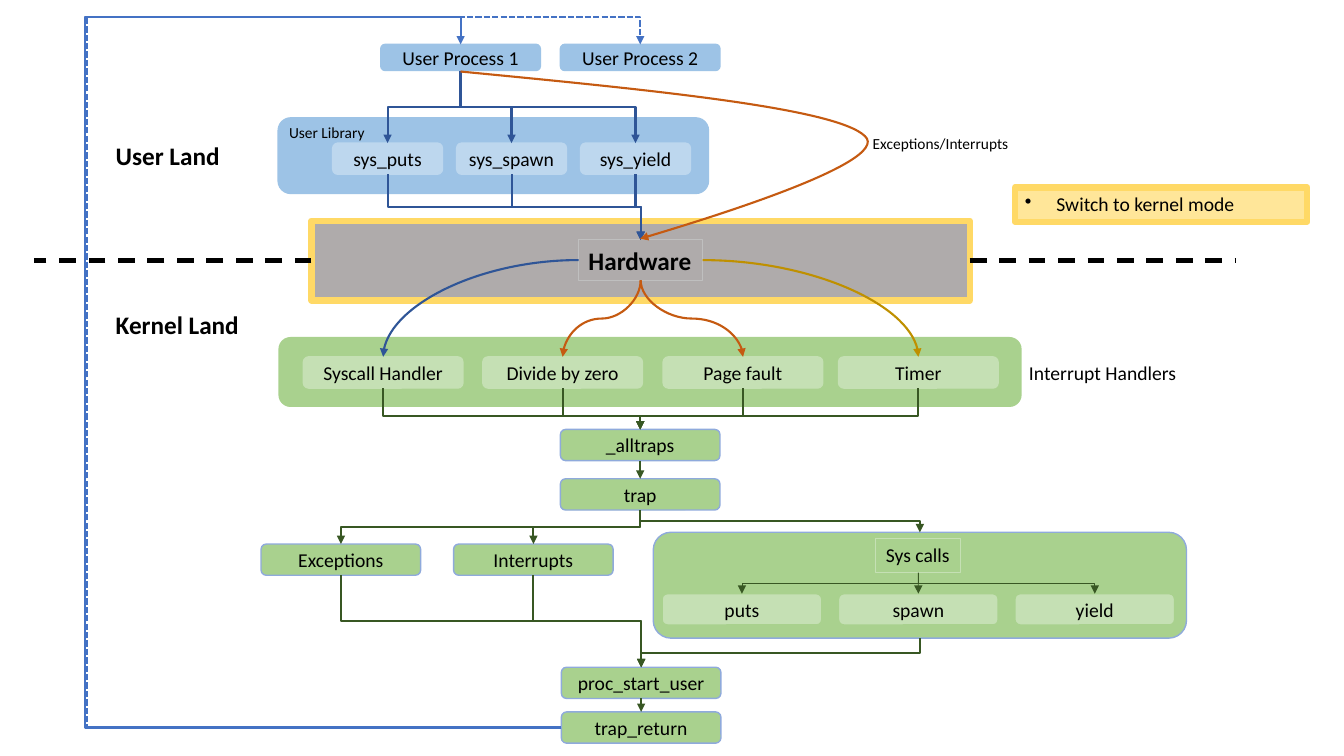
from dataclasses import dataclass

from pptx import Presentation
from pptx.dml.color import RGBColor
from pptx.enum.dml import MSO_LINE as Dash
from pptx.enum.shapes import MSO_CONNECTOR as Route, MSO_SHAPE as Preset
from pptx.enum.text import MSO_ANCHOR as Anchor, PP_ALIGN as Align
from pptx.oxml.ns import qn
from pptx.oxml.xmlchemy import OxmlElement as Element
from pptx.util import Pt


@dataclass(frozen=True)
class Theme:
    """Hold the colours and type sizes of the slide."""
    font: str = "Calibri"
    note: int = 11
    body: int = 14
    heading: int = 18
    ink: str = "000000"
    user: str = "9DC3E6"
    user_light: str = "BDD7EE"
    kernel: str = "A9D18E"
    kernel_light: str = "C5E0B4"
    kernel_edge: str = "8FAADC"
    hardware: str = "AFABAB"
    hardware_edge: str = "BFBFBF"
    mode: str = "FFE699"
    mode_edge: str = "FFD966"
    call: str = "2F5597"
    fault: str = "C55A11"
    timer: str = "BF9000"
    flow: str = "385723"
    resume: str = "4472C4"


THEME = Theme()
BUTTON = (114, 22.3)


def write(shape, text, size=THEME.body, bold=False, align=Align.LEFT, anchor=Anchor.TOP, wrap=False):
    """Put formatted text into a shape."""
    frame = shape.text_frame
    frame.word_wrap, frame.vertical_anchor = wrap, anchor
    paragraph = frame.paragraphs[0]
    paragraph.alignment = align
    run = paragraph.add_run()
    run.text = text
    run.font.name, run.font.size, run.font.bold = THEME.font, Pt(size), bold
    run.font.color.rgb = RGBColor.from_string(THEME.ink)
    return paragraph


def block(slide, box, fill, edge, weight=1, preset=Preset.ROUNDED_RECTANGLE):
    """Draw an outlined shape, unfilled when fill is None."""
    shape = slide.shapes.add_shape(preset, *map(Pt, box))
    shape.shadow.inherit = False
    if fill:
        shape.fill.solid()
        shape.fill.fore_color.rgb = RGBColor.from_string(fill)
    else:
        shape.fill.background()
    shape.line.color.rgb = RGBColor.from_string(edge)
    shape.line.width = Pt(weight)
    return shape


def button(slide, text, left, top, fill, edge, size=BUTTON):
    """Draw a rounded step with centred text."""
    shape = block(slide, (left, top, *size), fill, edge)
    write(shape, text, align=Align.CENTER, anchor=Anchor.MIDDLE, wrap=True)
    return shape


def label(slide, text, box, **style):
    """Add a free-standing label."""
    write(slide.shapes.add_textbox(*map(Pt, box)), text, **style)


def port(shape, across, down):
    """Return the point at the given fractions of a shape, in points."""
    return (shape.left + shape.width * across) / Pt(1), (shape.top + shape.height * down) / Pt(1)


def top(shape):
    """Return the middle of the upper edge."""
    return port(shape, 0.5, 0)


def bottom(shape):
    """Return the middle of the lower edge."""
    return port(shape, 0.5, 1)


def stroke(item, colour, weight, arrow=True, dash=None):
    """Format a line and its arrowhead."""
    item.line.color.rgb = RGBColor.from_string(colour)
    item.line.width = Pt(weight)
    if dash:
        item.line.dash_style = dash
    if arrow:
        tail = Element("a:tailEnd")
        tail.set("type", "triangle")
        item.line._get_or_add_ln().append(tail)


def link(slide, start, end, colour, weight=1.5, route=Route.STRAIGHT, turn=0, preset=None, bends=(), **style):
    """Connect two points, with the route turned by a multiple of 90 degrees."""
    middle_x, middle_y = ((a + b) / 2 for a, b in zip(start, end))
    x, y = start[0] - middle_x, start[1] - middle_y
    u, v = {0: (x, y), 90: (y, -x), 180: (-x, -y), 270: (-y, x)}[turn]
    ends = middle_x + u, middle_y + v, middle_x - u, middle_y - v
    connector = slide.shapes.add_connector(route, *map(Pt, ends))
    connector.rotation = turn
    stroke(connector, colour, weight, **style)
    properties = connector.element.spPr
    properties.append(Element("a:effectLst"))
    geometry = properties.find(qn("a:prstGeom"))
    if preset:
        geometry.set("prst", preset)
    for number, bend in enumerate(bends, 1):
        guide = Element("a:gd")
        guide.set("name", f"adj{number}")
        guide.set("fmla", f"val {round(bend * 100000)}")
        geometry.find(qn("a:avLst")).append(guide)


def drop(slide, start, end, colour, weight=1.5, route=Route.ELBOW, bend=0.5):
    """Connect downwards, leaving and arriving vertically."""
    if abs(start[0] - end[0]) < 1:
        link(slide, start, end, colour, weight)
    else:
        turn = 90 if end[0] < start[0] else 270
        link(slide, start, end, colour, weight, route, turn, bends=[bend])


def user_library(slide, left, upper, width, height):
    """Build the user library and return its functions."""
    block(slide, (left, upper, width, height), THEME.user, THEME.user)
    label(slide, "User Library", (left + 0.7, upper, 69, 21), size=THEME.note)
    return [button(slide, name, left + 38.9 + 88.55 * i, upper + 18, THEME.user_light, THEME.user_light, (78.5, 22.3))
            for i, name in enumerate(["sys_puts", "sys_spawn", "sys_yield"])]


def hardware_band(slide, left, upper, width, height):
    """Build the hardware band with the land boundary and return its label."""
    band = block(slide, (left, upper, width, height), THEME.hardware, THEME.mode_edge, 4.5, Preset.RECTANGLE)
    for start, end in [(port(band, 0, 0.5), left - 198), (port(band, 1, 0.5), left + width + 190)]:
        link(slide, start, (end, start[1]), THEME.ink, 3, arrow=False, dash=Dash.DASH)
    name = block(slide, (left + 190.8, upper + 13.7, 88.6, 28.8), THEME.hardware, THEME.hardware_edge, 0.75,
                 Preset.RECTANGLE)
    write(name, "Hardware", size=THEME.heading, bold=True)
    return name


def interrupt_handlers(slide, left, upper, width, height):
    """Build the interrupt handlers and return them."""
    block(slide, (left, upper, width, height), THEME.kernel, THEME.kernel)
    label(slide, "Interrupt Handlers", (left + width - 1.4, upper + 13, 121, 24.5))
    handlers = {"Syscall Handler": 17.3, "Divide by zero": 145.5, "Page fault": 274.3, "Timer": 399.6}
    return [button(slide, name, left + x, upper + 13.7, THEME.kernel_light, THEME.kernel_light)
            for name, x in handlers.items()]


def system_calls(slide, left, upper, width, height):
    """Build the system call panel and return it."""
    panel = block(slide, (left, upper, width, height), THEME.kernel, THEME.kernel_edge)
    name = block(slide, (left + 159.1, upper + 4.3, 60.5, 24.5), None, THEME.kernel_light, 0.75, Preset.RECTANGLE)
    write(name, "Sys calls")
    for i, call in enumerate(["puts", "spawn", "yield"]):
        step = button(slide, call, left + 6.4 + 126 * i, upper + 43.9, THEME.kernel_light, THEME.kernel)
        drop(slide, bottom(name), top(step), THEME.flow, 0.5)
    return panel


def exception_curve(slide, start, *curves):
    """Draw the curved arrow through cubic segments of three points each."""
    builder = slide.shapes.build_freeform(*map(Pt, start))
    builder.add_line_segments([tuple(map(Pt, curve[-1])) for curve in curves], close=False)
    arrow = builder.convert_to_shape()
    arrow.shadow.inherit = False
    arrow.fill.background()
    stroke(arrow, THEME.fault, 1.5)
    for segment, curve in zip(list(arrow.element.iter(qn("a:lnTo"))), curves):
        cubic = Element("a:cubicBezTo")
        for x, y in curve:
            point = Element("a:pt")
            point.set("x", str(Pt(x) - arrow.left))
            point.set("y", str(Pt(y) - arrow.top))
            cubic.append(point)
        segment.getparent().replace(segment, cubic)


def mode_legend(slide, *box):
    """Build the bulleted legend of the yellow outline."""
    legend = block(slide, box, THEME.mode, THEME.mode_edge, 4.5, Preset.RECTANGLE)
    properties = write(legend, "Switch to kernel mode", wrap=True)._p.get_or_add_pPr()
    properties.set("marL", str(Pt(22.5)))
    properties.set("indent", str(-Pt(22.5)))
    bullet = Element("a:buChar")
    bullet.set("char", "•")
    properties.append(bullet)


def trap_flow(slide, left, upper, width, height):
    """Build the whole control flow within the slide box."""
    first, second = [button(slide, f"User Process {i + 1}", left + 272 + 128.3 * i, upper + 31.7, THEME.user,
                            THEME.user, (114, 18.7)) for i in range(2)]
    functions = user_library(slide, left + 198.7, upper + 84.2, 307.4, 54)
    hardware = hardware_band(slide, left + 222.5, upper + 157.7, 470.2, 56.9)
    handlers = interrupt_handlers(slide, left + 199.4, upper + 241.2, 529.9, 49)
    for land, y, span in [("User Land", 96.5, 89), ("Kernel Land", 217.4, 103)]:
        label(slide, land, (left + 75.6, upper + y, span, 28.8), size=THEME.heading, bold=True)
    steps = {"_alltraps": (400.3, 306.7), "trap": (400.3, 342), "Exceptions": (186.5, 388.6),
             "Interrupts": (324, 388.6), "proc_start_user": (401, 476.6), "trap_return": (401, 508.5)}
    alltraps, trap, exceptions, interrupts, starter, leaver = [
        button(slide, name, left + x, upper + y, THEME.kernel, THEME.kernel_edge) for name, (x, y) in steps.items()]
    calls = system_calls(slide, left + 466.6, upper + 380.2, 380.9, 75.6)

    for function in functions:
        drop(slide, bottom(first), top(function), THEME.call)
        drop(slide, bottom(function), top(hardware), THEME.call)
    for handler in handlers:
        drop(slide, bottom(handler), top(alltraps), THEME.flow, bend=0.68)
    for branch in (exceptions, interrupts, calls):
        drop(slide, bottom(trap), top(branch), THEME.flow)
        drop(slide, bottom(branch), top(starter), THEME.flow)
    for before, after in [(alltraps, trap), (starter, leaver)]:
        drop(slide, bottom(before), top(after), THEME.flow)
    for process, bend, dash in [(second, -6.02, Dash.SQUARE_DOT), (first, 4.73, None)]:
        link(slide, port(leaver, 0, 0.5), top(process), THEME.resume, route=Route.ELBOW, turn=180,
             preset="bentConnector4", bends=(bend, 1.04), dash=dash)

    syscall, division, page, timer = handlers
    for handler, side, colour, turn in [(syscall, 0, THEME.call, 180), (timer, 1, THEME.timer, 0)]:
        link(slide, port(hardware, side, 0.5), top(handler), colour, route=Route.CURVE, turn=turn,
             preset="curvedConnector2")
    for handler in (division, page):
        drop(slide, bottom(hardware), top(handler), THEME.fault, route=Route.CURVE)
    exception_curve(slide, (329, 51.1), [(463, 64.1), (596.9, 77), (617.8, 97.2)],
                    [(639.4, 116.6), (457.2, 170.6), (457.2, 170.6)])
    label(slide, "Exceptions/Interrupts", (left + 616.3, upper + 92.2, 112.3, 21), size=THEME.note)
    mode_legend(slide, left + 725, upper + 133.9, 208.8, 24.5)


deck = Presentation()
deck.slide_width, deck.slide_height = Pt(960), Pt(540)
trap_flow(deck.slides.add_slide(deck.slide_layouts[6]), 0, 0, 960, 540)
deck.save("out.pptx")
